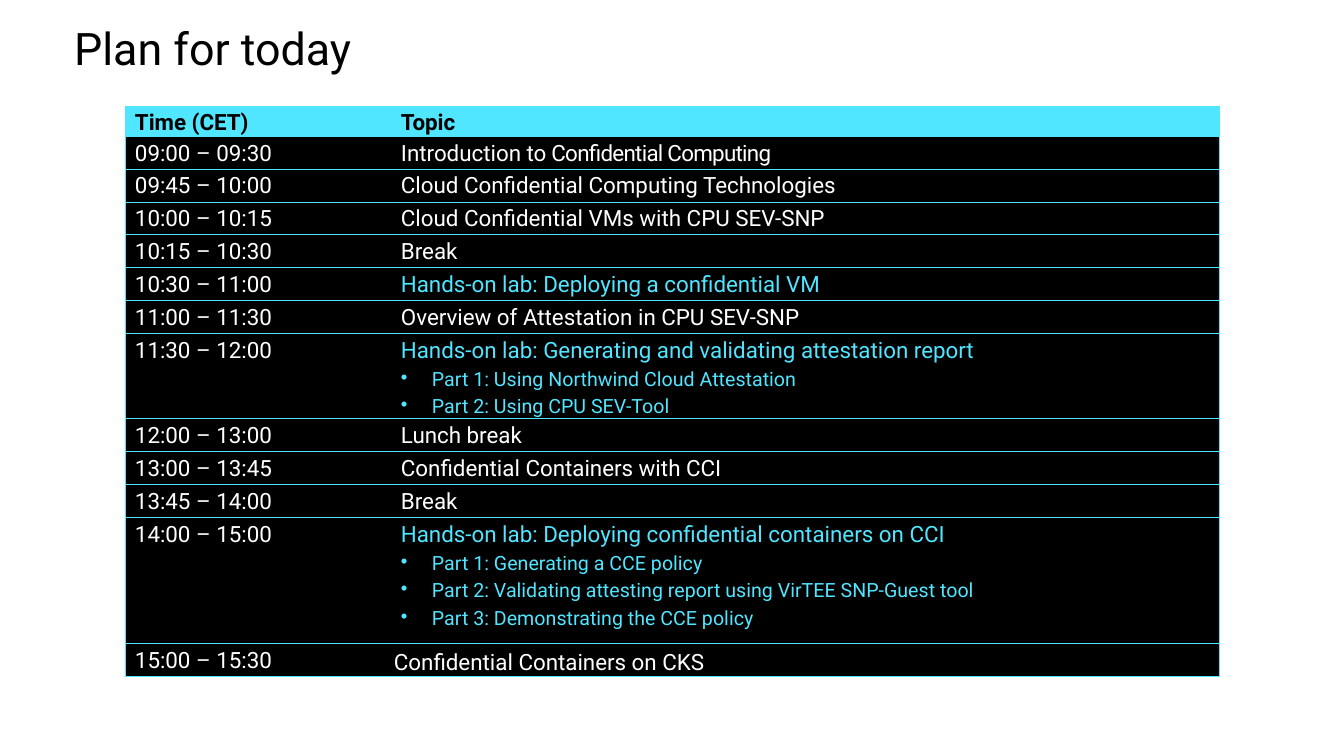
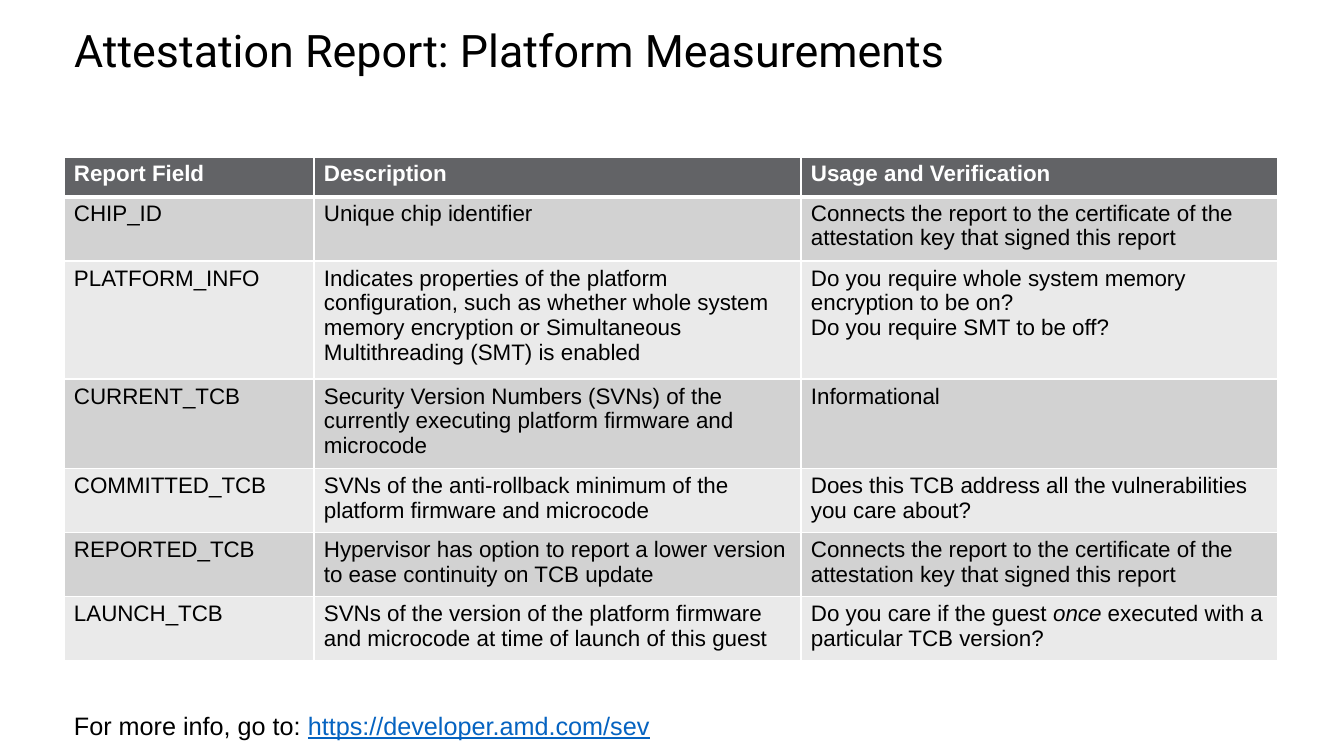
from lxml import etree
from pptx import Presentation
from pptx import util as u
from pptx.dml.color import RGBColor
from pptx.enum import text
from pptx.oxml import ns

PX = u.Inches(13.3333) / 1344

BLACK = RGBColor(0x00, 0x00, 0x00)
WHITE = RGBColor(0xFF, 0xFF, 0xFF)
CYAN = RGBColor(0x50, 0xE6, 0xFF)
HEADER_GRAY = RGBColor(0x62, 0x63, 0x66)
BANDS = (RGBColor(0xD2, 0xD2, 0xD2), RGBColor(0xEA, 0xEA, 0xEA))
LINK_BLUE = RGBColor(0x05, 0x63, 0xC1)

TITLE_FONT = "Roboto"
BODY_FONT = "Arial"


def px(count):
    return u.Emu(round(count * PX))


class Deck:
    """Shared style and the slide being built."""

    def __init__(self):
        self.prs = Presentation()
        self.prs.slide_width, self.prs.slide_height = px(1344), px(756)
        self.slide = None

    def new_slide(self, title, top):
        self.slide = self.prs.slides.add_slide(self.prs.slide_layouts[5])
        heading = self.slide.shapes.title
        heading.left, heading.top = px(64), px(top)
        heading.width, heading.height = px(1074), px(65)
        frame = heading.text_frame
        frame.word_wrap = True
        frame.auto_size = text.MSO_AUTO_SIZE.NONE
        frame.vertical_anchor = text.MSO_ANCHOR.MIDDLE
        self.fill_paragraph(frame.paragraphs[0], title, 32, BLACK, TITLE_FONT)

    def fill_paragraph(self, paragraph, content, size, color, font, bold=False):
        """Content is a string or a list of (text, style) runs."""
        runs = [(content, {})] if isinstance(content, str) else content
        paragraph.alignment = text.PP_ALIGN.LEFT
        base = paragraph.font
        base.name, base.size, base.bold = font, u.Pt(size), bold
        base.color.rgb = color
        for words, style in runs:
            run = paragraph.add_run()
            run.text = words
            if "color" in style:
                run.font.color.rgb = style["color"]
            if "spacing" in style:
                run._r.get_or_add_rPr().set("spc", str(style["spacing"]))
            if "italic" in style:
                run.font.italic = style["italic"]
            if "underline" in style:
                run.font.underline = style["underline"]

    def bullet(self, paragraph, indent):
        props = paragraph._p.get_or_add_pPr()
        props.set("marL", str(px(indent)))
        props.set("indent", str(-px(indent)))
        etree.SubElement(props, ns.qn("a:buChar")).set("char", "•")

    def table(self, left, top, widths, heights):
        frame = self.slide.shapes.add_table(
            len(heights), len(widths), px(left), px(top),
            px(sum(widths)), px(sum(heights)))
        table = frame.table
        table.first_row = table.horz_banding = False
        for column, width in zip(table.columns, widths):
            column.width = px(width)
        for row, height in zip(table.rows, heights):
            row.height = px(height)
        return table

    def cell(self, cell, fill, borders, left, top):
        """Borders map a side (L, R, T, B) to (colour, points)."""
        props = cell._tc.get_or_add_tcPr()
        for side in "LRTB":
            line = etree.SubElement(props, ns.qn("a:ln" + side))
            if side in borders:
                color, points = borders[side]
                line.set("w", str(u.Pt(points)))
                solid = etree.SubElement(line, ns.qn("a:solidFill"))
                etree.SubElement(solid, ns.qn("a:srgbClr")).set("val", str(color))
            else:
                etree.SubElement(line, ns.qn("a:noFill"))
        cell.fill.solid()
        cell.fill.fore_color.rgb = fill
        cell.margin_left, cell.margin_top = px(left), px(top)
        cell.margin_right = cell.margin_bottom = 0
        cell.vertical_anchor = text.MSO_ANCHOR.TOP
        return cell.text_frame

    def text_box(self, left, top, width, height, content, size):
        box = self.slide.shapes.add_textbox(px(left), px(top), px(width), px(height))
        box.text_frame.word_wrap = True
        self.fill_paragraph(box.text_frame.paragraphs[0], content, size,
                            BLACK, BODY_FONT)


# Agenda: time, topic, parts of the lab
LAB = "Hands-on lab"
AGENDA = [
    ("Time (CET)", "Topic", []),
    ("09:00 – 09:30", [("Introduction to", {}),
                       (" Confidential Computing", {"spacing": -50})], []),
    ("09:45 – 10:00", "Cloud Confidential Computing Technologies", []),
    ("10:00 – 10:15", "Cloud Confidential VMs with CPU SEV-SNP", []),
    ("10:15 – 10:30", "Break", []),
    ("10:30 – 11:00", LAB + ": Deploying a confidential VM", []),
    ("11:00 – 11:30", "Overview of Attestation in CPU SEV-SNP", []),
    ("11:30 – 12:00", LAB + ": Generating and validating attestation report",
     ["Part 1: Using Northwind Cloud Attestation",
      "Part 2: Using CPU SEV-Tool"]),
    ("12:00 – 13:00", "Lunch break", []),
    ("13:00 – 13:45", "Confidential Containers with CCI", []),
    ("13:45 – 14:00", "Break", []),
    ("14:00 – 15:00", LAB + ": Deploying confidential containers on CCI",
     ["Part 1: Generating a CCE policy",
      "Part 2: Validating attesting report using VirTEE SNP-Guest tool",
      "Part 3: Demonstrating the CCE policy"]),
    ("15:00 – 15:30", "Confidential Containers on CKS", []),
]

# Report fields: each cell is a list of paragraphs
SIGNING_KEY = ["Connects the report to the certificate of the "
               "attestation key that signed this report"]
MEASUREMENTS = [
    (["Report Field"], ["Description"], ["Usage and Verification"]),
    (["CHIP_ID"], ["Unique chip identifier"], SIGNING_KEY),
    (["PLATFORM_INFO"],
     ["Indicates properties of the platform configuration, such as whether whole "
      "system memory encryption or Simultaneous Multithreading (SMT) is enabled"],
     ["Do you require whole system memory encryption to be on?",
      "Do you require SMT to be off?"]),
    (["CURRENT_TCB"],
     ["Security Version Numbers (SVNs) of the currently executing platform "
      "firmware and microcode"],
     ["Informational"]),
    (["COMMITTED_TCB"],
     ["SVNs of the anti-rollback minimum of the", "platform firmware and microcode"],
     ["Does this TCB address all the vulnerabilities", "you care about?"]),
    (["REPORTED_TCB"],
     ["Hypervisor has option to report a lower version to ease continuity on "
      "TCB update"],
     SIGNING_KEY),
    (["LAUNCH_TCB"],
     ["SVNs of the version of the platform firmware",
      "and microcode at time of launch of this guest"],
     [[("Do you care if the guest ", {}), ("once", {"italic": True}),
       (" executed with a", {})], "particular TCB version?"]),
]


def build_plan(deck):
    deck.new_slide("Plan for today", 15)
    heights = [31, 32] + [33] * 5 + [85] + [33] * 3 + [126, 33]
    plan = deck.table(125, 106, [225, 870], heights)
    edge = (CYAN, 0.75)
    last = len(AGENDA) - 1
    for row, (time, topic, parts) in enumerate(AGENDA):
        header = row == 0
        fill, color = (CYAN, BLACK) if header else (BLACK, WHITE)
        rules = {}
        if row != 1:
            rules["T"] = edge
        if not header:
            rules["B"] = edge

        slot = deck.cell(plan.cell(row, 0), fill, {"L": edge, **rules}, 10, 4)
        deck.fill_paragraph(slot.paragraphs[0], time, 16, color, TITLE_FONT, header)

        # The closing topic sits slightly left of and below the others
        left, top = (44, 6) if row == last else (51, 4)
        subject = deck.cell(plan.cell(row, 1), fill, {"R": edge, **rules}, left, top)
        if isinstance(topic, str) and topic.startswith(LAB):
            color = CYAN
        deck.fill_paragraph(subject.paragraphs[0], topic, 16, color, TITLE_FONT, header)
        for part in parts:
            item = subject.add_paragraph()
            item.space_before = u.Pt(3.1)
            deck.bullet(item, 31)
            deck.fill_paragraph(item, part, 14, color, TITLE_FONT)


def build_measurements(deck):
    deck.new_slide("Attestation Report: Platform Measurements", 17)
    fields = deck.table(64, 157, [250, 487, 477], [40, 64, 118, 90, 64, 64, 64])
    thin, thick = (WHITE, 1), (WHITE, 3)
    for row, entries in enumerate(MEASUREMENTS):
        header = row == 0
        fill = HEADER_GRAY if header else BANDS[(row - 1) % 2]
        borders = {"L": thin, "R": thin, "T": thick if row == 1 else thin,
                   "B": thick if header else thin}
        for column, lines in enumerate(entries):
            frame = deck.cell(fields.cell(row, column), fill, borders, 10,
                              4 if row < 2 else 5)
            for index, line in enumerate(lines):
                paragraph = frame.add_paragraph() if index else frame.paragraphs[0]
                deck.fill_paragraph(paragraph, line, 16, WHITE if header else BLACK,
                                    BODY_FONT, header)

    # Further reading
    deck.text_box(64, 705, 672, 40, [
        ("For more info, go to: ", {}),
        ("https://developer.amd.com/sev", {"color": LINK_BLUE, "underline": True}),
    ], 18)


def main():
    deck = Deck()
    build_plan(deck)
    build_measurements(deck)
    deck.prs.save("out.pptx")


if __name__ == "__main__":
    main()
